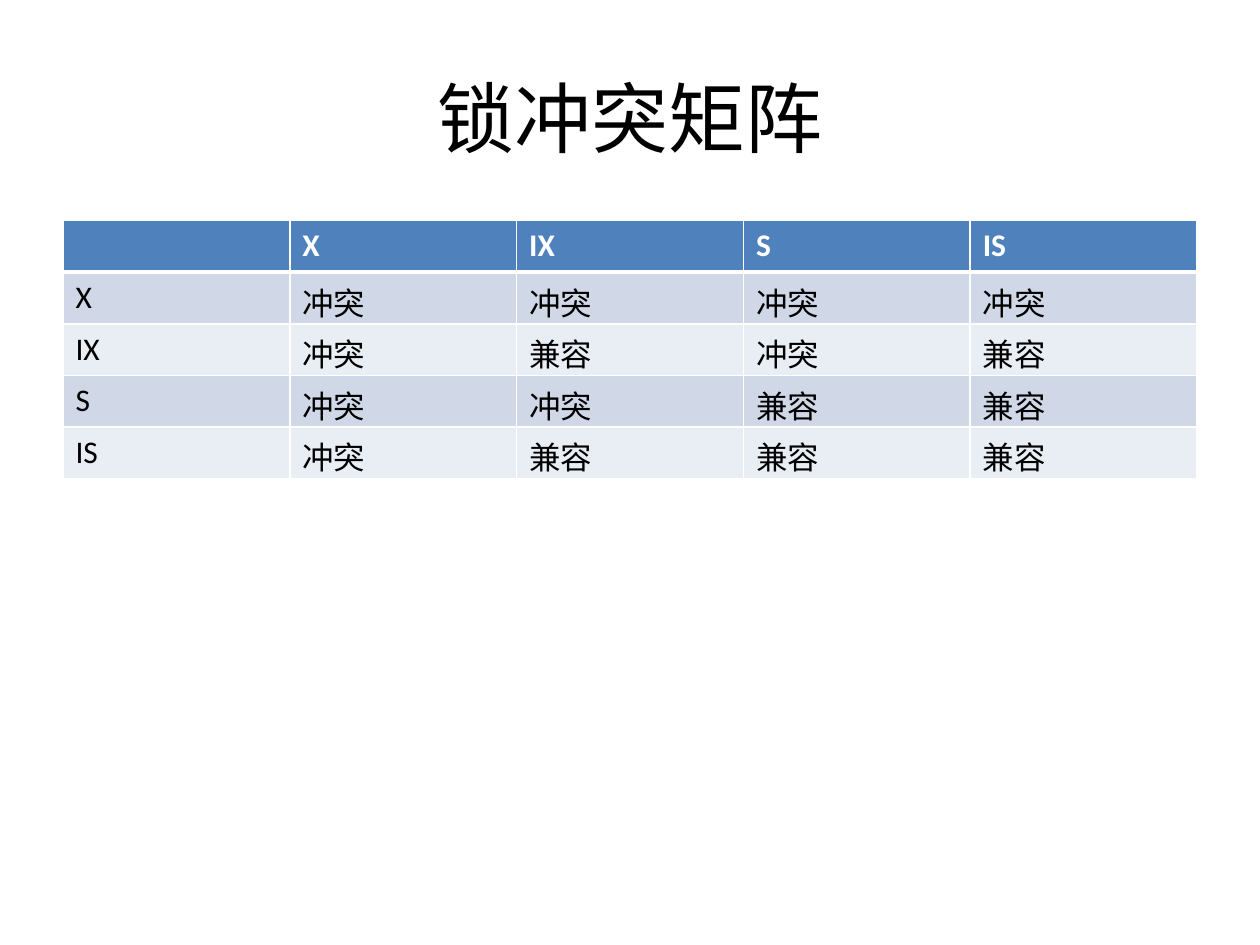
from lxml import etree
from pptx import Presentation
from pptx import util as u
from pptx.dml.color import RGBColor
from pptx.enum import text
from pptx.oxml import ns

# Content
TITLE = "锁冲突矩阵"
NO, OK = "冲突", "兼容"
LOCKS = ["X", "IX", "S", "IS"]
MATRIX = [
    [NO, NO, NO, NO],
    [NO, OK, NO, OK],
    [NO, NO, OK, OK],
    [NO, OK, OK, OK],
]

THEME = {
    "font": "Calibri", "title": 44, "body": 18,
    "ink": "000000", "white": "FFFFFF",
    "head": "4F81BD", "bands": ["D0D8E8", "E9EDF4"],
}
LEFT, WIDTH, TOP, ROW = 0.5, 9, 1.75, 0.41


def style(para, size, color, bold=False):
    font = para.font
    font.name, font.size, font.bold = THEME["font"], u.Pt(size), bold
    font.color.rgb = RGBColor.from_string(color)


def border(cell, widths):
    props = cell._tc.get_or_add_tcPr()
    for i, (side, width) in enumerate(widths.items()):
        line = etree.Element(ns.qn("a:ln" + side), w=str(u.Pt(width)))
        fill = etree.SubElement(line, ns.qn("a:solidFill"))
        etree.SubElement(fill, ns.qn("a:srgbClr"), val=THEME["white"])
        props.insert(i, line)


deck = Presentation()
deck.slide_width, deck.slide_height = u.Inches(10), u.Inches(7.5)
slide = deck.slides.add_slide(deck.slide_layouts[6])

# Title
box = slide.shapes.add_textbox(
    u.Inches(LEFT), u.Inches(0.3), u.Inches(WIDTH), u.Inches(1.25))
frame = box.text_frame
frame.word_wrap = True
frame.vertical_anchor = text.MSO_ANCHOR.MIDDLE
frame.text = TITLE
para = frame.paragraphs[0]
para.alignment = text.PP_ALIGN.CENTER
style(para, THEME["title"], THEME["ink"])

# Lock table: header row, then one row for each lock
rows = [[""] + LOCKS] + [[lock] + marks for lock, marks in zip(LOCKS, MATRIX)]
table = slide.shapes.add_table(
    len(rows), len(rows[0]), u.Inches(LEFT), u.Inches(TOP),
    u.Inches(WIDTH), u.Inches(ROW * len(rows))).table
for r, row in enumerate(rows):
    table.rows[r].height = u.Inches(ROW)
    head = r == 0
    fill = THEME["head"] if head else THEME["bands"][(r - 1) % 2]
    edges = {"L": 1, "R": 1, "T": 3 if r == 1 else 1, "B": 3 if head else 1}
    for c, word in enumerate(row):
        cell = table.cell(r, c)
        cell.text = word
        cell.fill.solid()
        cell.fill.fore_color.rgb = RGBColor.from_string(fill)
        border(cell, edges)
        style(cell.text_frame.paragraphs[0], THEME["body"],
              THEME["white"] if head else THEME["ink"], head)

deck.save("out.pptx")
